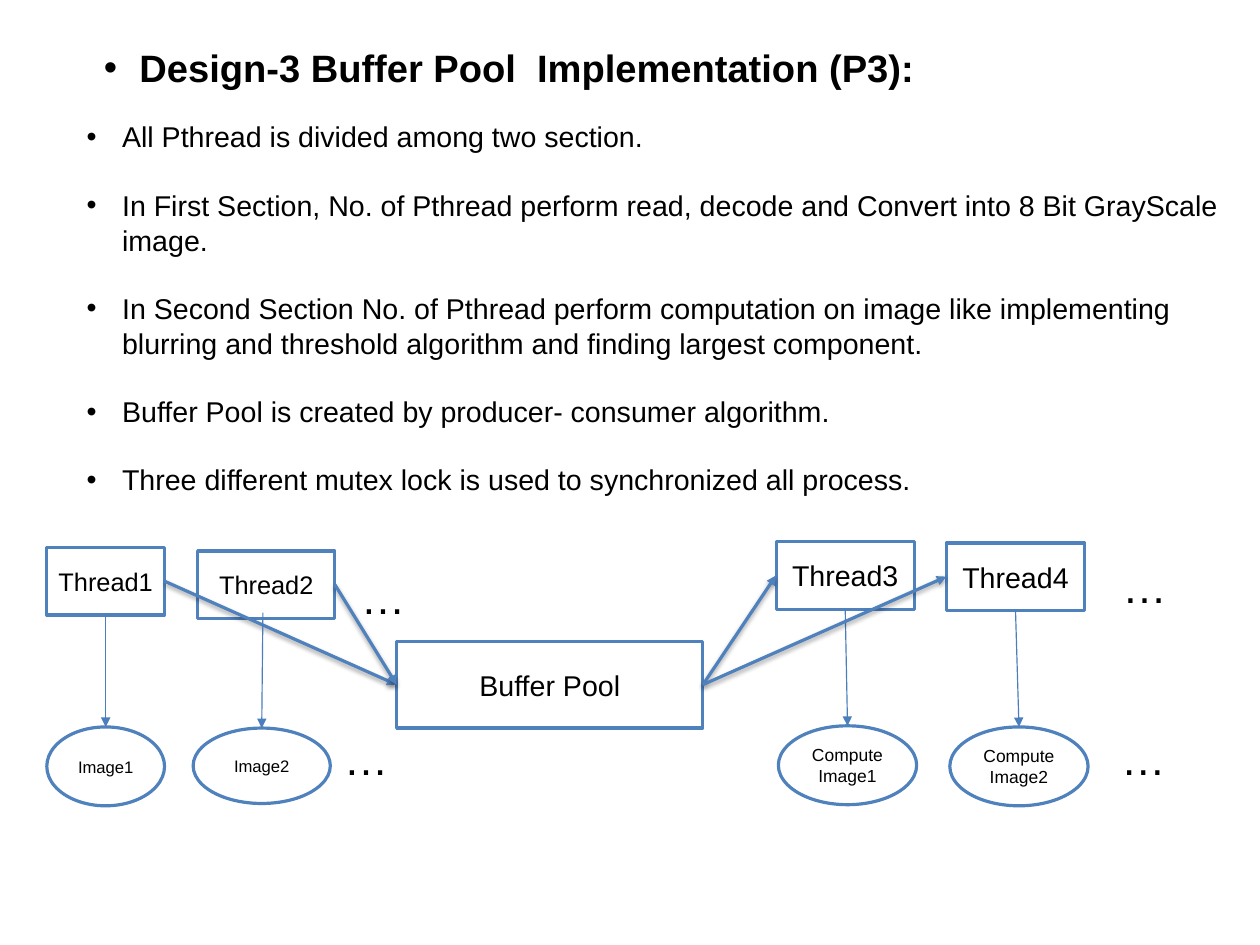
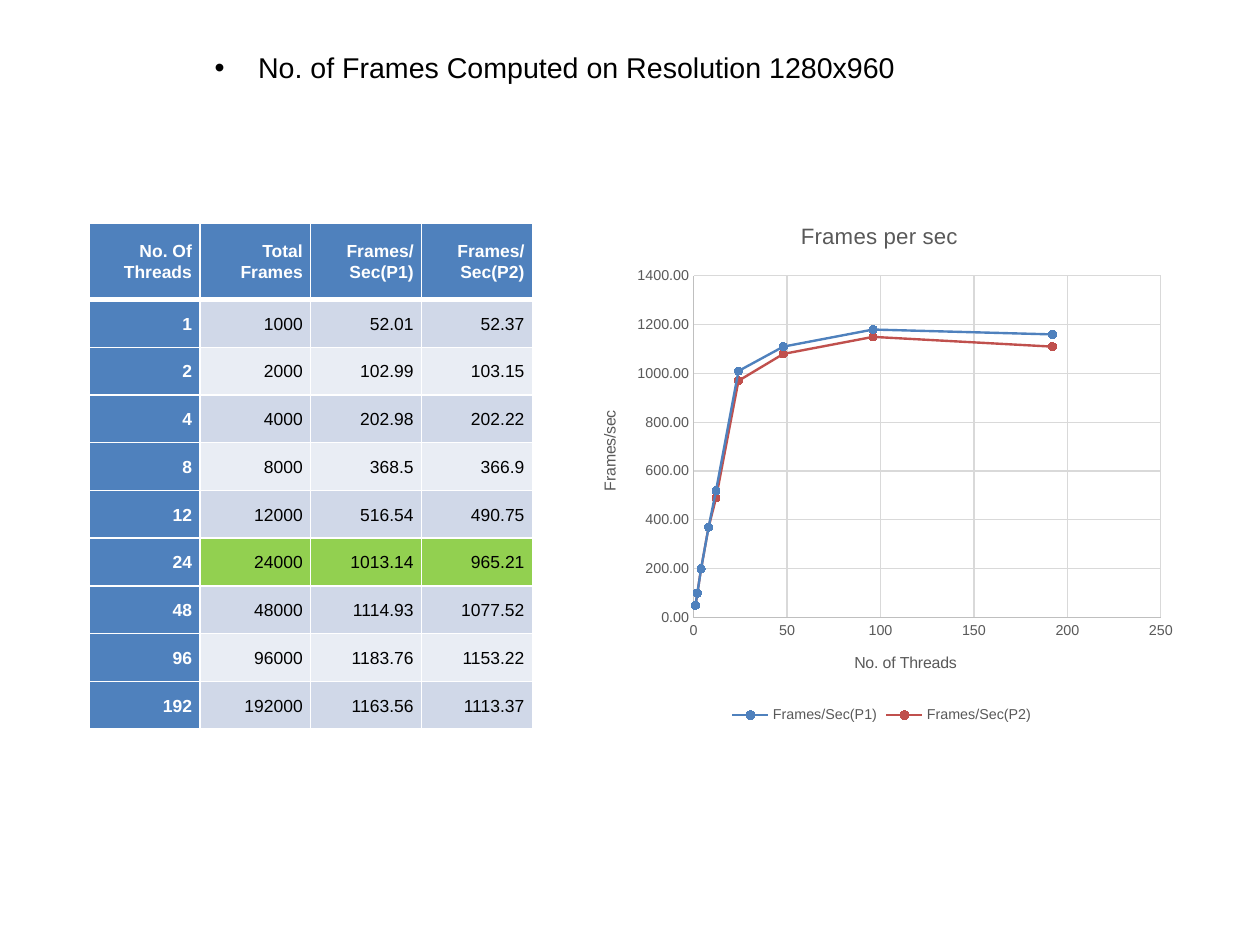
from dataclasses import dataclass
from typing import Any

from lxml.etree import SubElement
from pptx import Presentation
from pptx.chart.data import XyChartData
from pptx.dml.color import RGBColor
from pptx.enum.chart import XL_CHART_TYPE, XL_LEGEND_POSITION, XL_MARKER_STYLE, XL_TICK_MARK
from pptx.enum.shapes import MSO_CONNECTOR, MSO_SHAPE
from pptx.enum.text import MSO_ANCHOR, PP_ALIGN
from pptx.oxml import parse_xml
from pptx.oxml.ns import nsdecls, qn
from pptx.util import Inches, Pt

BLACK = RGBColor(0x00, 0x00, 0x00)
WHITE = RGBColor(0xFF, 0xFF, 0xFF)
BLUE = RGBColor(0x4F, 0x81, 0xBD)
THIN_BLUE = RGBColor(0x4B, 0x7E, 0xBC)
RED = RGBColor(0xC0, 0x50, 0x4D)
GREEN = RGBColor(0x92, 0xD0, 0x50)
BAND_DARK = RGBColor(0xD0, 0xD8, 0xE8)
BAND_LIGHT = RGBColor(0xE9, 0xED, 0xF4)
GREY = RGBColor(0x59, 0x59, 0x59)
AXIS_GREY = RGBColor(0xBF, 0xBF, 0xBF)
GRID_GREY = RGBColor(0xD9, 0xD9, 0xD9)
FONT = "Arial"
CENTIMETRES_PER_INCH = 2.54
TOP, LEFT, BOTTOM, RIGHT = range(4)
RECTANGLE, ELLIPSE = MSO_SHAPE.RECTANGLE, MSO_SHAPE.OVAL


@dataclass(frozen=True)
class Box:
    left: float
    top: float
    width: float
    height: float

    def lengths(self) -> list[int]:
        return [Inches(value) for value in (self.left, self.top, self.width, self.height)]


@dataclass(frozen=True)
class Node:
    text: str
    outline: MSO_SHAPE
    box: Box
    size: float


@dataclass(frozen=True)
class Arrow:
    start: str
    start_side: int
    end: str
    end_side: int


NODES = [
    Node("Image1", ELLIPSE, Box(0.41, 6.36, 1.03, 0.69), 10.5),
    Node("Image2", ELLIPSE, Box(1.69, 6.37, 1.2, 0.66), 10.5),
    Node("Thread1", RECTANGLE, Box(0.41, 4.79, 1.03, 0.59), 16),
    Node("Thread2", RECTANGLE, Box(1.73, 4.82, 1.2, 0.59), 16),
    Node("Compute Image1", ELLIPSE, Box(6.81, 6.35, 1.21, 0.69), 11),
    Node("Thread3", RECTANGLE, Box(6.79, 4.74, 1.21, 0.59), 18),
    Node("Buffer Pool", RECTANGLE, Box(3.47, 5.61, 2.68, 0.76), 18),
    Node("Compute Image2", ELLIPSE, Box(8.31, 6.36, 1.21, 0.69), 11),
    Node("Thread4", RECTANGLE, Box(8.28, 4.75, 1.21, 0.59), 18),
]
IMAGE_ARROWS = [
    Arrow("Thread1", BOTTOM, "Image1", TOP),
    Arrow("Thread3", BOTTOM, "Compute Image1", TOP),
    Arrow("Thread4", BOTTOM, "Compute Image2", TOP),
]
POOL_ARROWS = [
    Arrow("Thread1", RIGHT, "Buffer Pool", LEFT),
    Arrow("Thread2", RIGHT, "Buffer Pool", LEFT),
    Arrow("Buffer Pool", RIGHT, "Thread3", LEFT),
    Arrow("Buffer Pool", RIGHT, "Thread4", LEFT),
]
ELLIPSIS_CORNERS = [(3.06, 4.94), (2.91, 6.35), (9.72, 4.84), (9.71, 6.35)]

POINTS = [
    "All Pthread is divided among two section.",
    "In First Section, No. of Pthread perform read, decode and Convert into 8 Bit GrayScale image.",
    "In Second Section No. of Pthread perform computation on image like implementing "
    "blurring and threshold algorithm and finding largest component.",
    "Buffer Pool is created by producer- consumer algorithm.",
    "Three different mutex lock is used to synchronized all process.",
]

HEADER = ("No. Of Threads", "Total Frames", "Frames/ Sec(P1)", "Frames/ Sec(P2)")
RESULTS = [
    (1, 1000, 52.01, 52.37),
    (2, 2000, 102.99, 103.15),
    (4, 4000, 202.98, 202.22),
    (8, 8000, 368.5, 366.9),
    (12, 12000, 516.54, 490.75),
    (24, 24000, 1013.14, 965.21),
    (48, 48000, 1114.93, 1077.52),
    (96, 96000, 1183.76, 1153.22),
    (192, 192000, 1163.56, 1113.37),
]
BEST_THREADS = 24
TABLE_BOX = Box(0.78, 1.95, 3.88, 4.43)
HEADER_HEIGHT = 0.67


def set_values(target: Any, values: dict[str, Any]) -> None:
    for name, value in values.items():
        setattr(target, name, value)


def set_font(font: Any, size: float, color: RGBColor = BLACK, bold: bool = False) -> None:
    set_values(font, {"name": FONT, "size": Pt(size), "bold": bold})
    font.color.rgb = color


def set_line(line: Any, color: RGBColor, width: float) -> None:
    line.color.rgb = color
    line.width = Pt(width)


def add_bullet(paragraph: Any, margin: float, hanging: float) -> None:
    properties = paragraph._p.get_or_add_pPr()
    properties.set("marL", str(Inches(margin)))
    properties.set("indent", str(-Inches(hanging)))
    SubElement(properties, qn("a:buFont"), typeface=FONT)
    SubElement(properties, qn("a:buChar"), char="•")


def add_text(slide: Any, box: Box, lines: list[str], size: float, bold: bool = False,
             bullet: tuple[float, float] | None = None,
             frame_format: dict[str, Any] | None = None,
             line_spacing: Any = None, gap: float = 0) -> None:
    """Write one paragraph per line; bullet holds the margin and the hanging indent."""
    frame = slide.shapes.add_textbox(*box.lengths()).text_frame
    set_values(frame, {"word_wrap": True} | (frame_format or {}))
    for index, line in enumerate(lines):
        paragraph = frame.add_paragraph() if index else frame.paragraphs[0]
        if bullet:
            add_bullet(paragraph, *bullet)
        if line_spacing:
            paragraph.line_spacing = line_spacing
        if index:
            paragraph.space_before = Pt(gap)
        run = paragraph.add_run()
        run.text = line
        set_font(run.font, size, bold=bold)


def add_node(slide: Any, node: Node) -> Any:
    shape = slide.shapes.add_shape(node.outline, *node.box.lengths())
    shape.shadow.inherit = False
    shape.fill.solid()
    shape.fill.fore_color.rgb = WHITE
    set_line(shape.line, BLUE, 2)
    set_values(shape.text_frame, {
        "word_wrap": True, "vertical_anchor": MSO_ANCHOR.MIDDLE,
        "margin_left": Inches(0.05), "margin_right": Inches(0.05),
    })
    paragraph = shape.text_frame.paragraphs[0]
    paragraph.text = node.text
    paragraph.alignment = PP_ALIGN.CENTER
    set_font(paragraph.runs[0].font, node.size)
    return shape


def add_arrow(slide: Any, color: RGBColor, width: float, shadow: bool = False) -> Any:
    """Add an arrow whose ends are placed by the caller."""
    connector = slide.shapes.add_connector(MSO_CONNECTOR.STRAIGHT, 0, 0, 0, 0)
    set_line(connector.line, color, width)
    SubElement(connector.line._get_or_add_ln(), qn("a:tailEnd"), type="triangle")
    effects = SubElement(connector._element.spPr, qn("a:effectLst"))
    if shadow:
        outer = SubElement(effects, qn("a:outerShdw"), blurRad=str(Pt(3.1)),
                           dist=str(Pt(1.6)), dir="5400000", rotWithShape="0")
        shade = SubElement(outer, qn("a:srgbClr"), val=str(BLACK))
        SubElement(shade, qn("a:alpha"), val="38000")
    return connector


def build_design_slide(slide: Any) -> None:
    add_text(slide, Box(0.91, 0.13, 9.26, 0.91), ["Design-3 Buffer Pool  Implementation (P3):"],
             24, bold=True, bullet=(0.31, 0.31),
             frame_format={"vertical_anchor": MSO_ANCHOR.MIDDLE, "margin_left": 0,
                           "margin_top": 0, "margin_right": 0, "margin_bottom": 0})
    add_text(slide, Box(0.66, 0.99, 10.31, 3.43), POINTS, 18, bullet=(0.31, 0.31),
             line_spacing=Pt(22), gap=21)
    shapes = {node.text: add_node(slide, node) for node in NODES}
    for arrows, color, width, shadow in ((IMAGE_ARROWS, THIN_BLUE, 0.75, False),
                                         (POOL_ARROWS, BLUE, 2, True)):
        for arrow in arrows:
            connector = add_arrow(slide, color, width, shadow)
            connector.begin_connect(shapes[arrow.start], arrow.start_side)
            connector.end_connect(shapes[arrow.end], arrow.end_side)
    inner_arrow = add_arrow(slide, THIN_BLUE, 0.75)
    set_values(inner_arrow, {"begin_x": Inches(2.3), "begin_y": Inches(5.36)})
    inner_arrow.end_connect(shapes["Image2"], TOP)
    for left, top in ELLIPSIS_CORNERS:
        add_text(slide, Box(left, top, 0.59, 0.57), ["…"], 28, frame_format={"word_wrap": False})


def set_borders(cell: Any, widths: dict[str, float]) -> None:
    properties = cell._tc.get_or_add_tcPr()
    for side, width in widths.items():
        border = SubElement(properties, qn(f"a:ln{side}"), w=str(Pt(width)))
        fill = SubElement(border, qn("a:solidFill"))
        SubElement(fill, qn("a:srgbClr"), val=str(WHITE))


def add_results_table(slide: Any) -> None:
    rows = [HEADER, *RESULTS]
    table = slide.shapes.add_table(len(rows), len(HEADER), *TABLE_BOX.lengths()).table
    table.horz_banding = False
    for column in table.columns:
        column.width = Inches(TABLE_BOX.width / len(HEADER))
    body_height = (TABLE_BOX.height - HEADER_HEIGHT) / len(RESULTS)
    for row_index, values in enumerate(rows):
        table.rows[row_index].height = Inches(body_height if row_index else HEADER_HEIGHT)
        band = BAND_DARK if row_index % 2 else BAND_LIGHT
        body_fill = GREEN if values[0] == BEST_THREADS else band
        for column_index, value in enumerate(values):
            heading = row_index == 0 or column_index == 0
            cell = table.cell(row_index, column_index)
            set_borders(cell, {"L": 1, "R": 1, "T": 3 if row_index == 1 else 1,
                               "B": 1 if row_index else 3})
            cell.fill.solid()
            cell.fill.fore_color.rgb = BLUE if heading else body_fill
            set_values(cell, {
                "vertical_anchor": MSO_ANCHOR.MIDDLE, "margin_left": Inches(0.07),
                "margin_right": Inches(0.07), "margin_top": 0, "margin_bottom": 0,
            })
            paragraph = cell.text_frame.paragraphs[0]
            paragraph.text = str(value)
            set_values(paragraph, {"alignment": PP_ALIGN.RIGHT, "line_spacing": 1.07})
            set_font(paragraph.runs[0].font, 11, WHITE if heading else BLACK, heading)


def set_layout(element: Any, index: int, **fractions: float) -> None:
    """Place a chart part by fractions of the chart area."""
    for existing in element.findall(qn("c:layout")):
        element.remove(existing)
    layout = parse_xml(f"<c:layout {nsdecls('c')}><c:manualLayout/></c:layout>")
    manual = layout[0]
    if "w" in fractions:
        SubElement(manual, qn("c:layoutTarget"), val="inner")
    for name in ("x", "y"):
        SubElement(manual, qn(f"c:{name}Mode"), val="edge")
    for name, value in fractions.items():
        SubElement(manual, qn(f"c:{name}"), val=str(value))
    element.insert(index, layout)


def set_title(title: Any, text: str, size: float, x: float, y: float) -> None:
    title.text_frame.text = text
    set_font(title.text_frame.paragraphs[0].runs[0].font, size, GREY)
    set_layout(title._element, 1, x=x, y=y)


def add_results_chart(slide: Any) -> None:
    data = XyChartData(number_format="0.00")
    for name, column in (("Frames/Sec(P1)", 2), ("Frames/Sec(P2)", 3)):
        series_data = data.add_series(name)
        for row in RESULTS:
            series_data.add_data_point(row[0], round(row[column], -1))
    chart = slide.shapes.add_chart(XL_CHART_TYPE.XY_SCATTER_LINES,
                                   *Box(5.06, 1.77, 5.31, 4.6).lengths(), data).chart
    set_font(chart.font, 10)
    set_values(chart, {"has_title": True, "has_legend": True})
    set_title(chart.chart_title, "Frames per sec", 14, 0.36, 0.03)
    set_values(chart.legend, {"position": XL_LEGEND_POSITION.BOTTOM, "include_in_layout": False})
    set_font(chart.legend.font, 9, GREY)
    plot = chart.plots[0]
    plot.vary_by_categories = False
    set_layout(plot._element.getparent(), 0, x=0.19, y=0.14, w=0.77, h=0.65)
    for series, color in zip(plot.series, (BLUE, RED)):
        set_line(series.format.line, color, 1.5)
        set_values(series.marker, {"style": XL_MARKER_STYLE.CIRCLE, "size": 5})
        series.marker.format.fill.solid()
        series.marker.format.fill.fore_color.rgb = color
        set_line(series.marker.format.line, color, 0.75)
    for axis, text, x, y, maximum, unit, number_format in (
        (chart.category_axis, "No. of Threads", 0.45, 0.85, 250, 50, "0"),
        (chart.value_axis, "Frames/sec", 0.03, 0.39, 1400, 200, "0.00"),
    ):
        set_values(axis, {
            "minimum_scale": 0, "maximum_scale": maximum, "major_unit": unit,
            "has_major_gridlines": True, "has_title": True,
            "major_tick_mark": XL_TICK_MARK.NONE, "minor_tick_mark": XL_TICK_MARK.NONE,
        })
        set_values(axis.tick_labels, {"number_format": number_format, "number_format_is_linked": False})
        set_font(axis.tick_labels.font, 9, GREY)
        set_line(axis.format.line, AXIS_GREY, 0.75)
        set_line(axis.major_gridlines.format.line, GRID_GREY, 0.75)
        set_title(axis.axis_title, text, 10, x, y)


def build_results_slide(slide: Any) -> None:
    add_text(slide, Box(0.78, 0.39, 7.29, 0.4), [" No. of Frames Computed on Resolution 1280x960"],
             18, bullet=(1.31, 0.31))
    add_results_table(slide)
    add_results_chart(slide)


def main() -> None:
    presentation = Presentation()
    presentation.slide_width = Inches(28 / CENTIMETRES_PER_INCH)
    presentation.slide_height = Inches(21 / CENTIMETRES_PER_INCH)
    blank = presentation.slide_layouts[6]
    build_design_slide(presentation.slides.add_slide(blank))
    build_results_slide(presentation.slides.add_slide(blank))
    presentation.save("out.pptx")


if __name__ == "__main__":
    main()
